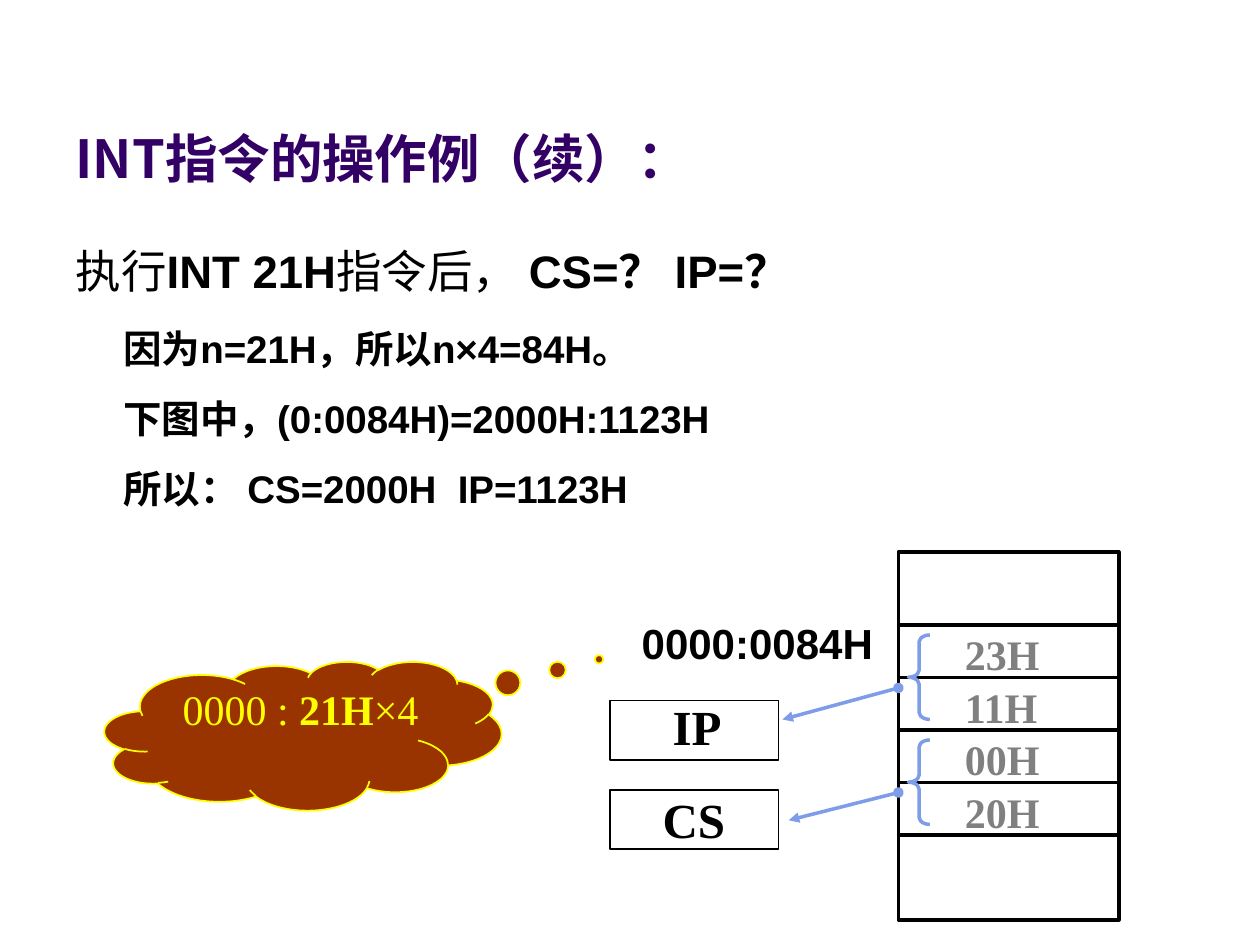
from lxml import etree
from pptx import Presentation
from pptx.dml.color import RGBColor
from pptx.enum.shapes import MSO_CONNECTOR, MSO_SHAPE
from pptx.enum.text import MSO_ANCHOR, MSO_AUTO_SIZE, PP_ALIGN
from pptx.oxml.ns import qn
from pptx.util import Inches, Pt

LEFT, RIGHT = PP_ALIGN.LEFT, PP_ALIGN.RIGHT
TOP, BOTTOM = MSO_ANCHOR.TOP, MSO_ANCHOR.BOTTOM
STRAIGHT = MSO_CONNECTOR.STRAIGHT
RECTANGLE, BRACE, CLOUD = MSO_SHAPE.RECTANGLE, MSO_SHAPE.LEFT_BRACE, MSO_SHAPE.CLOUD_CALLOUT
FIT_SHAPE, NO_FIT = MSO_AUTO_SIZE.SHAPE_TO_FIT_TEXT, MSO_AUTO_SIZE.NONE

COLORS = {
    "title": "330066",
    "text": "000000",
    "byte": "808080",
    "pointer": "7E9CE8",
    "cloud": "993300",
    "cloud_text": "FFFF00",
}
SANS, SERIF, CJK = "Arial", "Times New Roman", "Noto Sans CJK SC"


def color(name):
    return RGBColor.from_string(COLORS[name])


def place(shape, left, top, width, height):
    shape.left, shape.top = Inches(left), Inches(top)
    shape.width, shape.height = Inches(width), Inches(height)


def write_runs(para, runs, font_name, size, color_name):
    """Fill a paragraph with (text, bold) runs in one font."""
    for text, bold in runs:
        span = para.add_run()
        span.text = text
        font = span.font
        font.name, font.size, font.bold = font_name, Pt(size), bold
        font.color.rgb = color(color_name)


def add_label(page, box, text, font_name, size, color_name, align=LEFT, side_inset=0.1):
    label = page.shapes.add_textbox(*map(Inches, box))
    frame = label.text_frame
    frame.word_wrap = True
    frame.auto_size = FIT_SHAPE
    frame.margin_left = frame.margin_right = Inches(side_inset)
    para = frame.paragraphs[0]
    para.alignment = align
    write_runs(para, [(text, True)], font_name, size, color_name)


def add_outline(page, kind, box, line_color, width, fill=None):
    shape = page.shapes.add_shape(kind, *map(Inches, box))
    shape.shadow.inherit = False
    if fill:
        shape.fill.solid()
        shape.fill.fore_color.rgb = color(fill)
    else:
        shape.fill.background()
    shape.line.color.rgb = color(line_color)
    shape.line.width = Pt(width)
    return shape


def add_line(page, start, end, line_color, head=None, tail=None):
    line = page.shapes.add_connector(STRAIGHT, *map(Inches, (*start, *end)))
    line.line.color.rgb = color(line_color)
    line.line.width = Pt(2)
    etree.SubElement(line._element.spPr, qn("a:effectLst"))
    outline = line.line._get_or_add_ln()
    for tag, kind in (("a:headEnd", head), ("a:tailEnd", tail)):
        if kind:
            etree.SubElement(outline, qn(tag), type=kind)


def fill_title(page, box):
    title = page.shapes.title
    place(title, *box)
    frame = title.text_frame
    frame.vertical_anchor = BOTTOM
    frame.auto_size = NO_FIT
    para = frame.paragraphs[0]
    para.alignment = LEFT
    write_runs(para, [("INT指令的操作例（续）：", True)], CJK, 30, "title")
    properties = para.runs[0].font._element
    etree.SubElement(properties, qn("a:ea"), typeface=CJK)


def fill_body(page, box):
    body = page.placeholders[1]
    place(body, *box)
    frame = body.text_frame
    frame.vertical_anchor = TOP
    frame.auto_size = NO_FIT
    question = [("执行", False), ("INT 21H", True), ("指令后， ", False), ("CS=？ IP=？", True)]
    steps = [
        "因为n=21H，所以n×4=84H。",
        "下图中，(0:0084H)=2000H:1123H",
        "所以： CS=2000H  IP=1123H",
    ]
    lines = [(0, question)] + [(1, [(step, True)]) for step in steps]
    for index, (level, runs) in enumerate(lines):
        para = frame.add_paragraph() if index else frame.paragraphs[0]
        para.level = level
        properties = para._p.get_or_add_pPr()
        properties.set("marL", str(Inches(0.38 * (level + 1))))
        properties.set("indent", str(Inches(-0.38)))
        para.space_before = Pt(5.5 if level else 0)
        para.space_after = Pt(8.2 if level else 9.8)
        etree.SubElement(properties, qn("a:buNone"))
        write_runs(para, runs, SANS, 22 if level else 26, "text")


def add_memory(page, box):
    """Draw the memory column, its four vector bytes and the braces pairing them."""
    left, top, width, height = box
    add_outline(page, RECTANGLE, box, "text", 2)
    first_row, row_height = top + 0.58, 5 / 12
    for row in range(5):
        y = first_row + row * row_height
        add_line(page, (left, y), (left + width, y), "text")
    for row, byte in enumerate(["23H", "11H", "00H", "20H"]):
        y = first_row - 0.02 + row * row_height
        add_label(page, (left + 0.43, y, 1.17, 0.5), byte, SERIF, 24, "byte")
    for pair in range(2):
        y = first_row + 0.08 + pair * 2 * row_height
        brace = add_outline(page, BRACE, (left + 0.08, y, 0.17, 0.67), "pointer", 2)
        brace.adjustments[0] = 0.33
    add_label(page, (left - 2.29, top + 0.47, 2.18, 0.5), "0000:0084H ",
              SANS, 24, "text", RIGHT, 0)


def add_register(page, box, name, name_box, source, target):
    """Draw a register box and the arrow that loads it from memory."""
    add_line(page, source, target, "pointer", "oval", "triangle")
    add_label(page, name_box, name, SERIF, 28, "text")
    add_outline(page, RECTANGLE, box, "text", 1)


def add_cloud(page, box):
    cloud = add_outline(page, CLOUD, box, "cloud_text", 1, "cloud")
    cloud.adjustments[0], cloud.adjustments[1] = 0.746, -0.515
    frame = cloud.text_frame
    frame.margin_left = frame.margin_right = frame.margin_top = frame.margin_bottom = 0
    frame.vertical_anchor = TOP
    para = frame.paragraphs[0]
    para.alignment = RIGHT
    write_runs(para, [("0000 : ", False), ("21H", True), ("×4", False)],
               SERIF, 24, "cloud_text")


def main():
    deck = Presentation()
    deck.slide_width, deck.slide_height = Inches(10), Inches(7.5)
    page = deck.slides.add_slide(deck.slide_layouts[1])
    fill_title(page, (0.5, 0.4, 8.25, 1.15))
    fill_body(page, (0.5, 1.88, 9, 4.82))
    add_memory(page, (7.13, 4.38, 1.75, 2.92))
    add_register(page, (4.84, 5.56, 1.34, 0.47), "IP", (5.24, 5.48, 0.67, 0.57),
                 (7.13, 5.46), (6.21, 5.71))
    add_register(page, (4.84, 6.27, 1.34, 0.47), "CS", (5.16, 6.22, 0.75, 0.57),
                 (7.13, 6.29), (6.26, 6.51))
    add_cloud(page, (0.83, 5.25, 3.15, 1.18))
    deck.save("out.pptx")


if __name__ == "__main__":
    main()
